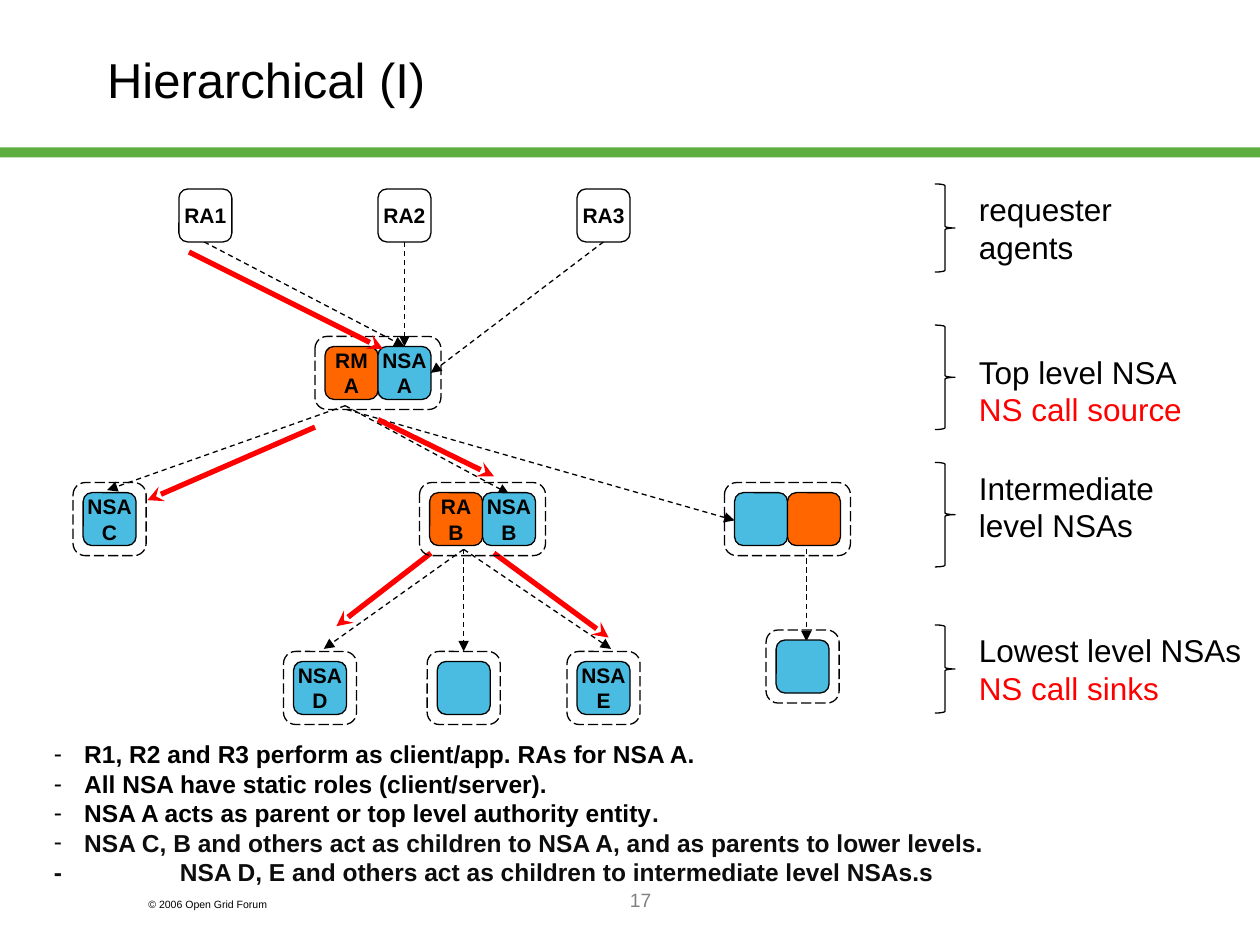
import pptx
import pptx.util
import pptx.dml.color
import pptx.enum.dml
import pptx.enum.shapes
import pptx.enum.text
import pptx.oxml.ns
from dataclasses import dataclass
from lxml import etree

Inches, Pt = pptx.util.Inches, pptx.util.Pt
qn = pptx.oxml.ns.qn
Shape = pptx.enum.shapes.MSO_SHAPE
Dash = pptx.enum.dml.MSO_LINE
Align = pptx.enum.text.PP_ALIGN
Anchor = pptx.enum.text.MSO_ANCHOR


@dataclass
class Theme:
    font: str = "Arial"
    black: str = "000000"
    dark: str = "0D0D0D"
    gray: str = "808080"
    white: str = "FFFFFF"
    green: str = "5DAD41"
    red: str = "FF0000"
    orange: str = "FF6600"
    blue: str = "4BBCE1"
    title: int = 28
    label: int = 18
    note: int = 14
    node: int = 12
    page: int = 11
    foot: int = 6
    thin: float = 0.75
    thick: float = 3


T = Theme()
SIDE, PAD = 0.42, 0.08

# Frame corner, then the agents inside it: text and fill
GROUPS = [
    (2.5, 2.67, [("RM\vA", T.orange), ("NSA\vA", T.blue)]),
    (0.58, 3.83, [("NSA\vC", T.blue)]),
    (3.33, 3.83, [("RA\vB", T.orange), ("NSA\vB", T.blue)]),
    (5.75, 3.83, [("", T.blue), ("", T.orange)]),
    (2.25, 5.17, [("NSA\vD", T.blue)]),
    (3.39, 5.17, [("", T.blue)]),
    (4.5, 5.17, [("NSA\vE", T.blue)]),
    (6.08, 5, [("", T.blue)]),
]
USERS = [("RA1", 1.42), ("RA2", 3), ("RA3", 4.58)]
USER_TOP = 1.5

# Start point, end point
LOWER = [
    (2.74, 3.22, 4.04, 3.92), (2.74, 3.22, 0.85, 3.89),
    (3.68, 4.36, 4.85, 5.15), (3.68, 4.36, 2.57, 5.15),
    (3.68, 4.36, 3.68, 5.17), (6.4, 4.36, 6.4, 5.09),
    (2.75, 3.25, 5.83, 4.13),
]
CALLS = [
    (2.5, 3.39, 1.17, 3.97), (3, 3.33, 3.92, 3.78),
    (3.42, 4.39, 2.67, 4.97), (3.92, 4.39, 4.83, 5.06),
]
UPPER = [
    (1.62, 1.92, 3.21, 2.75), (3.21, 1.92, 3.21, 2.75),
    (4.79, 1.92, 3.42, 2.96),
]
TOP_CALL = (1.5, 2, 3.04, 2.77)

# Brace top and height, label top and width, label lines
LEVELS = [
    (1.46, 0.7, 1.46, 1.59, [("requester", T.black), ("agents", T.black)]),
    (2.58, 0.83, 2.75, 1.81,
     [("Top level NSA", T.black), ("NS call source", T.red)]),
    (3.67, 0.83, 3.67, 2.08, [("Intermediate level NSAs", T.black)]),
    (4.96, 0.7, 4.96, 2.33,
     [("Lowest level NSAs", T.black), ("NS call sinks", T.red)]),
]
BRACE_X, BRACE_W, LABEL_X = 7.42, 0.16, 7.67

NOTES = [
    [("R1, R2 and R3 perform as client/app. RAs for NSA A.", T.black)],
    [("All NSA have static roles (client/server).", T.black)],
    [("NSA A acts as parent or top level authority entity", T.black),
     (".", T.dark)],
    [("NSA C, B and others act as children to NSA A, "
      "and as parents to lower levels.", T.dark)],
]
LAST = "-\tNSA D, E and others act as children to intermediate level NSAs.s"


def rgb(code):
    return pptx.dml.color.RGBColor.from_string(code)


def write(par, text, size, color=T.black, bold=False):
    run = par.add_run()
    run.text = text
    font = run.font
    font.name, font.size, font.bold = T.font, Pt(size), bold
    font.color.rgb = rgb(color)


def add_box(slide, left, top, width, height):
    box = slide.shapes.add_textbox(*map(Inches, (left, top, width, height)))
    box.text_frame.word_wrap = True
    return box.text_frame


def add_par(frame, index):
    return frame.add_paragraph() if index else frame.paragraphs[0]


def add_form(slide, kind, left, top, width, height, fill=None, line=T.black):
    form = slide.shapes.add_shape(
        kind, *map(Inches, (left, top, width, height)))
    form.shadow.inherit = False
    if fill:
        form.fill.solid()
        form.fill.fore_color.rgb = rgb(fill)
    else:
        form.fill.background()
    if line:
        form.line.color.rgb = rgb(line)
        form.line.width = Pt(T.thin)
    else:
        form.line.fill.background()
    return form


def add_node(slide, left, top, text, fill):
    node = add_form(slide, Shape.ROUNDED_RECTANGLE,
                    left, top, SIDE, SIDE, fill)
    frame = node.text_frame
    frame.word_wrap = True
    frame.vertical_anchor = Anchor.MIDDLE
    frame.margin_left = frame.margin_right = 0
    frame.margin_top = frame.margin_bottom = 0
    par = frame.paragraphs[0]
    par.alignment = Align.CENTER
    for i, part in enumerate(text.split("\v") if text else []):
        if i:
            par.add_line_break()
        write(par, part, T.node, bold=True)


def add_arrow(slide, ends, call=False):
    arrow = slide.shapes.add_connector(
        pptx.enum.shapes.MSO_CONNECTOR.STRAIGHT, *map(Inches, ends))
    arrow.line.color.rgb = rgb(T.red if call else T.black)
    arrow.line.width = Pt(T.thick if call else T.thin)
    if not call:
        arrow.line.dash_style = Dash.DASH
    props = arrow.element.spPr
    etree.SubElement(props.find(qn("a:ln")), qn("a:tailEnd"),
                     type="stealth" if call else "triangle")
    etree.SubElement(props, qn("a:effectLst"))


def add_notes(slide):
    frame = add_box(slide, 0.33, 5.82, 8.58, 1.26)
    for i, runs in enumerate(NOTES):
        par = add_par(frame, i)
        props = par._p.get_or_add_pPr()
        props.set("marL", str(Inches(0.24)))
        props.set("indent", str(Inches(-0.24)))
        etree.SubElement(props, qn("a:buFont"), typeface=T.font)
        etree.SubElement(props, qn("a:buChar"), char="-")
        for text, color in runs:
            write(par, text, T.note, color, True)
    par = frame.add_paragraph()
    tabs = etree.SubElement(par._p.get_or_add_pPr(), qn("a:tabLst"))
    etree.SubElement(tabs, qn("a:tab"), pos=str(Inches(1)), algn="l")
    write(par, LAST, T.note, T.dark, True)


def main():
    deck = pptx.Presentation()
    deck.slide_width, deck.slide_height = Inches(10), Inches(7.5)
    slide = deck.slides.add_slide(deck.slide_layouts[5])

    add_form(slide, Shape.RECTANGLE, 0, 1.17, 10, 0.08, T.green, None)
    title = slide.shapes.title
    title.left, title.top = Inches(0.75), Inches(0)
    title.width, title.height = Inches(8.5), Inches(1.25)
    title.text_frame.vertical_anchor = Anchor.MIDDLE
    par = title.text_frame.paragraphs[0]
    par.alignment = Align.LEFT
    write(par, "Hierarchical (I)", T.title)

    foot = add_box(slide, 1.08, 7.08, 1.5, 0.2)
    write(foot.paragraphs[0], "© 2006 Open Grid Forum", T.foot)
    page = add_box(slide, 2.17, 7, 5.83, 0.5).paragraphs[0]
    page.alignment = Align.CENTER
    write(page, "17", T.page, T.gray)

    for top, height, text_top, width, lines in LEVELS:
        add_form(slide, Shape.RIGHT_BRACE, BRACE_X, top, BRACE_W, height)
        frame = add_box(slide, LABEL_X, text_top, width, 0.7)
        for i, (text, color) in enumerate(lines):
            write(add_par(frame, i), text, T.label, color)
    add_notes(slide)

    for ends in LOWER:
        add_arrow(slide, ends)
    for ends in CALLS:
        add_arrow(slide, ends, call=True)
    for left, top, nodes in GROUPS:
        for i, (text, fill) in enumerate(nodes):
            add_node(slide, left + PAD + i * SIDE, top + PAD, text, fill)
        edge = add_form(slide, Shape.ROUNDED_RECTANGLE, left, top,
                        len(nodes) * SIDE + 2 * PAD, SIDE + 2 * PAD)
        edge.line.dash_style = Dash.LONG_DASH
    for ends in UPPER:
        add_arrow(slide, ends)
    add_arrow(slide, TOP_CALL, call=True)
    for text, left in USERS:
        add_node(slide, left, USER_TOP, text, T.white)

    deck.save("out.pptx")


if __name__ == "__main__":
    main()
